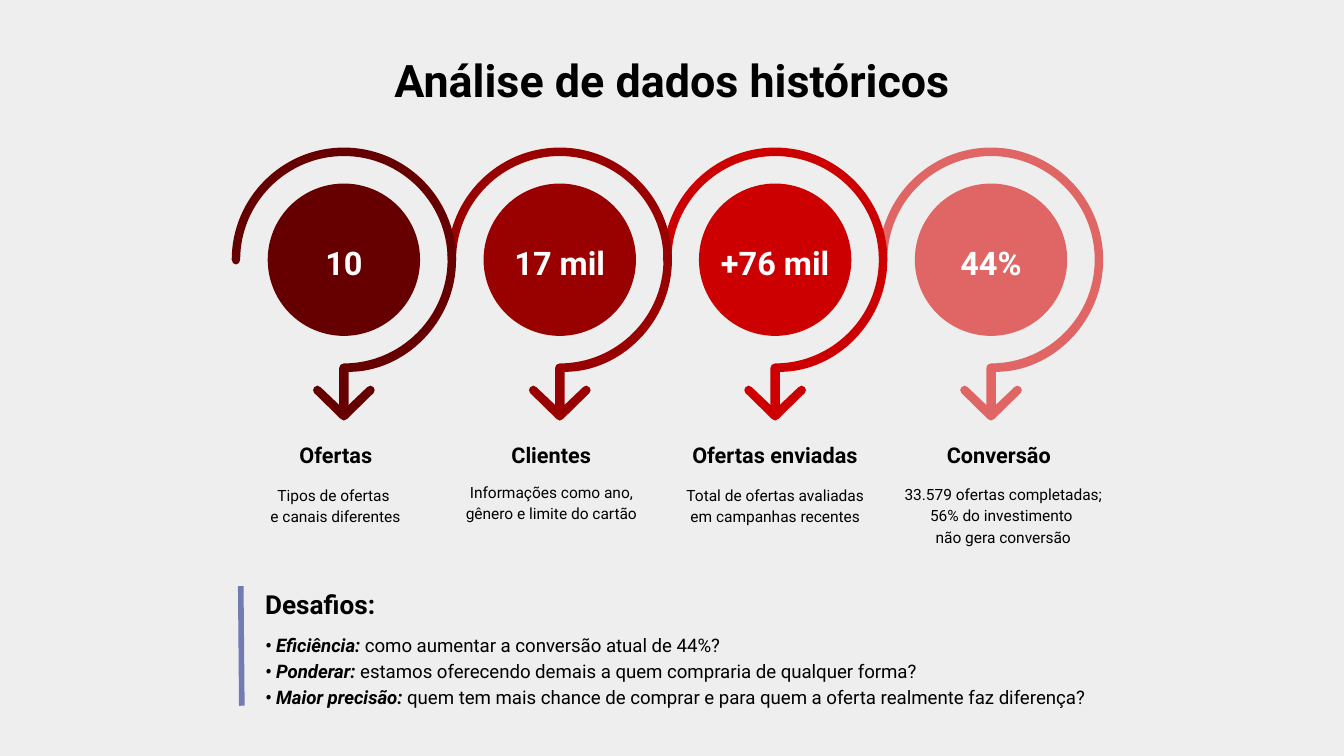
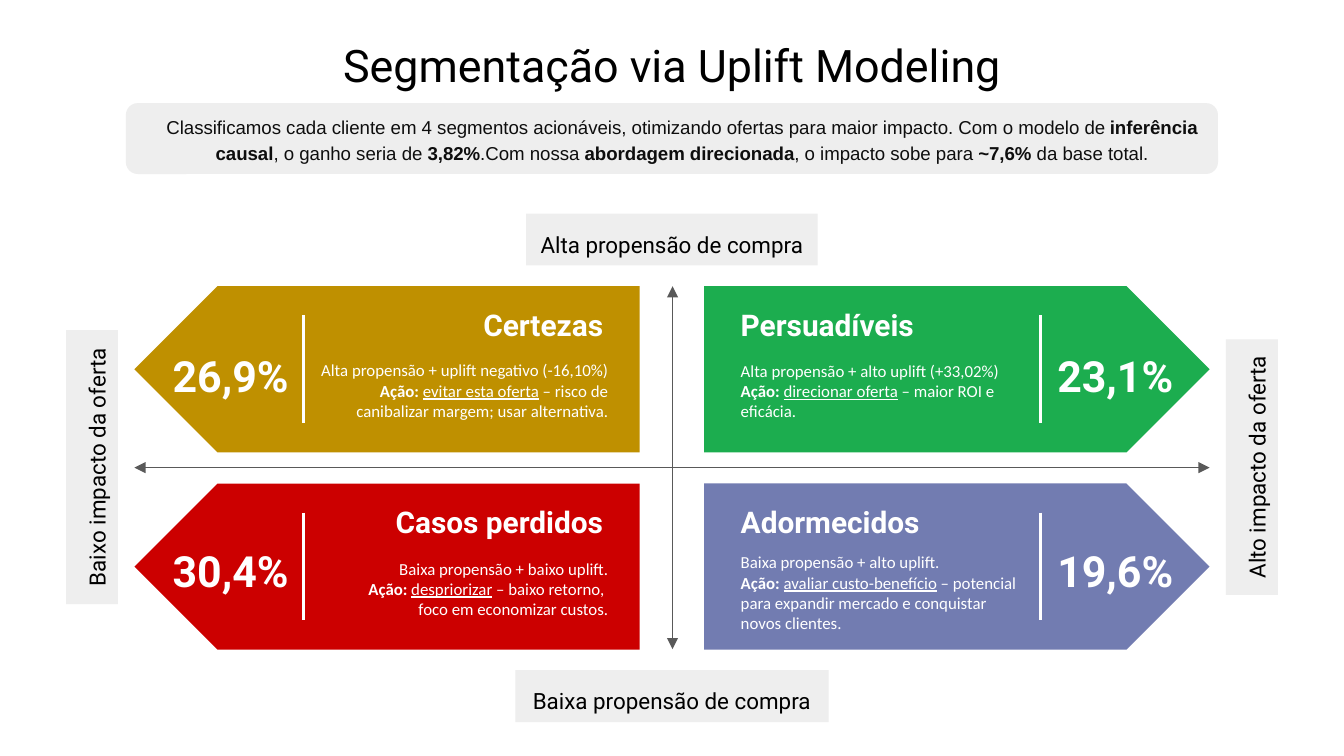
"""Two slides on campaign history and uplift segmentation."""
import math
from dataclasses import dataclass

from lxml import etree
from pptx import Presentation
from pptx.dml.color import RGBColor
from pptx.enum.shapes import MSO_CONNECTOR, MSO_SHAPE
from pptx.enum.text import MSO_ANCHOR, PP_ALIGN
from pptx.oxml.ns import qn
from pptx.util import Cm, Pt

LEFT, CENTER, RIGHT = PP_ALIGN.LEFT, PP_ALIGN.CENTER, PP_ALIGN.RIGHT
TOP, MIDDLE = MSO_ANCHOR.TOP, MSO_ANCHOR.MIDDLE
STRAIGHT = MSO_CONNECTOR.STRAIGHT
OVAL, PLATE = MSO_SHAPE.OVAL, MSO_SHAPE.PENTAGON
RECT, ROUNDED = MSO_SHAPE.RECTANGLE, MSO_SHAPE.ROUNDED_RECTANGLE


@dataclass(frozen=True)
class Theme:
    """Colours, fonts, type sizes and page measures."""
    width: float = 25.4
    height: float = 14.29
    font: str = "Roboto"
    body_font: str = "Calibri"
    intro_font: str = "Arial"
    black: str = "000000"
    ink: str = "0E0E0E"
    white: str = "FFFFFF"
    grey: str = "EEEEEE"
    axis: str = "595959"
    violet: str = "727CB1"
    red: str = "CC0000"
    gold: str = "BF9000"
    green: str = "1CAD4F"
    title: float = 24
    percent: float = 23
    figure: float = 17.4
    segment: float = 16
    section: float = 14
    axis_label: float = 12
    step: float = 11.6
    text: float = 10
    segment_text: float = 9
    caption: float = 8.3


THEME = Theme()

STEPS = [
    dict(x=6.5, colour="660000", figure="10", name="Ofertas", name_x=6.35,
         caption=["Tipos de ofertas ", "e canais diferentes"],
         caption_x=6.34, width=4.04, top=8.88),
    dict(x=10.58, colour="990000", figure="17 mil", name="Clientes", name_x=10.42,
         caption=["Informações como ano, gênero e limite do cartão"],
         caption_x=10.42, width=4.04, top=8.82),
    dict(x=14.65, colour=THEME.red, figure="+76 mil", name="Ofertas enviadas", name_x=14.65,
         caption=["Total de ofertas avaliadas em campanhas recentes"],
         caption_x=14.65, width=4.04, top=8.88),
    dict(x=18.73, colour="E06666", figure="44%", name="Conversão", name_x=18.88,
         caption=["33.579 ofertas completadas; 56% do investimento ", "não gera conversão"],
         caption_x=18.96, width=4.22, top=9.06),
]

CHALLENGES = [
    [("• Eficiência: ", "bi"), ("como aumentar a conversão atual de 44%?", "")],
    [("• Ponderar: ", "bi"),
     ("estamos oferecendo demais a quem compraria de qualquer forma?", "")],
    [("• Maior precisão: ", "bi"),
     ("quem tem mais chance de comprar e para quem a oferta realmente faz diferença?", "")],
]

INTRO = [
    ("Classificamos cada cliente em 4 segmentos acionáveis, otimizando ofertas para maior "
     "impacto. Com o modelo de ", ""),
    ("inferência causal", "b"), (", o ganho seria de ", ""), ("3,82%", "b"),
    (".Com nossa ", ""), ("abordagem direcionada", "b"),
    (", o impacto sobe para ", ""), ("~7,6%", "b"), (" da base total.", ""),
]

SEGMENTS = [
    dict(column=0, row=0, colour=THEME.gold, name="Certezas", share="26,9%", drop=0.96,
         lines=["Alta propensão + uplift negativo (-16,10%)",
                [("Ação: ", "b"), ("evitar esta oferta", "u"),
                 (" – risco de canibalizar margem; usar alternativa.", "")]]),
    dict(column=1, row=0, colour=THEME.green, name="Persuadíveis", share="23,1%", drop=0.97,
         lines=["Alta propensão + alto uplift (+33,02%)",
                [("Ação: ", "b"), ("direcionar oferta", "u"),
                 (" – maior ROI e eficácia.", "")]]),
    dict(column=0, row=1, colour=THEME.red, name="Casos perdidos", share="30,4%", drop=0.98,
         lines=["Baixa propensão + baixo uplift.",
                [("Ação: ", "b"), ("despriorizar", "u"), (" – baixo retorno, ", "")],
                "foco em economizar custos."]),
    dict(column=1, row=1, colour=THEME.violet, name="Adormecidos", share="19,6%", drop=1.05,
         lines=["Baixa propensão + alto uplift.",
                [("Ação: ", "b"), ("avaliar custo-benefício", "u"),
                 (" – potencial para expandir mercado e conquistar novos clientes.", "")]]),
]

AXIS_LABELS = [
    ("Alta propensão de compra", 12.7, 4.53, 5.51, 0),
    ("Baixa propensão de compra", 12.7, 13.16, 5.92, 0),
    ("Alto impacto da oferta", 23.66, 8.83, 4.83, 270),
    ("Baixo impacto da oferta", 1.74, 8.83, 5.18, 270),
]


def colour_of(value):
    """Turn a hex string into a colour."""
    return RGBColor.from_string(value)


def write(shape, paras, size, colour=THEME.black, font=THEME.font, bold=False, align=LEFT,
          anchor=MIDDLE, inset=0.25, spacing=1.0, first_spacing=None, after=0):
    """Fill a shape with paragraphs made of strings or (text, flags) spans."""
    frame = shape.text_frame
    frame.word_wrap = True
    frame.vertical_anchor = anchor
    frame.margin_left = frame.margin_right = Cm(inset)
    frame.margin_top = frame.margin_bottom = Cm(inset)
    for index, spans in enumerate(paras):
        para = frame.paragraphs[0] if index == 0 else frame.add_paragraph()
        para.alignment = align
        para.line_spacing = first_spacing if first_spacing and index == 0 else spacing
        para.space_after = Pt(after)
        if isinstance(spans, str):
            spans = [(spans, "b" if bold else "")]
        for text, flags in spans:
            span = para.add_run()
            span.text = text
            span.font.name = font
            span.font.size = Pt(size)
            span.font.color.rgb = colour_of(colour)
            span.font.bold = "b" in flags
            span.font.italic = "i" in flags
            span.font.underline = "u" in flags


def add_text(page, left, top, width, height, paras, size, **style):
    """Add a text box."""
    box = page.shapes.add_textbox(Cm(left), Cm(top), Cm(width), Cm(height))
    write(box, paras, size, **style)


def paint(shape, colour):
    """Give a shape a plain fill without line or shadow."""
    shape.shadow.inherit = False
    shape.fill.solid()
    shape.fill.fore_color.rgb = colour_of(colour)
    shape.line.fill.background()


def add_block(page, kind, left, top, width, height, colour):
    """Add a plain preset shape."""
    block = page.shapes.add_shape(kind, Cm(left), Cm(top), Cm(width), Cm(height))
    paint(block, colour)
    return block


def add_line(page, start, end, colour, weight, arrows=False):
    """Add a straight line, with arrowheads on both ends if asked."""
    line = page.shapes.add_connector(STRAIGHT, *map(Cm, start + end))
    line.line.color.rgb = colour_of(colour)
    line.line.width = Pt(weight)
    if arrows:
        outline = line.line._get_or_add_ln()
        for tag in ("a:headEnd", "a:tailEnd"):
            etree.SubElement(outline, qn(tag), type="triangle")
    etree.SubElement(line._element.spPr, qn("a:effectLst"))


def quarter(radius, start, turn):
    """Return the three Bézier points of a quarter circle from an angle in degrees."""
    first, last = math.radians(start), math.radians(start + 90 * turn)
    pull = 0.55 * turn

    def point(angle, shift):
        """Shift a point of the circle along its tangent."""
        return (radius * (math.cos(angle) - shift * math.sin(angle)),
                radius * (math.sin(angle) + shift * math.cos(angle)))

    return [point(first, pull), point(last, -pull), point(last, 0)]


def add_outline(page, x, y, points, kinds, colour):
    """Draw a closed outline around a centre, with L for lines and C for curves."""
    corners = [(Cm(x + dx), Cm(y + dy)) for dx, dy in points]
    builder = page.shapes.build_freeform(*corners[0])
    builder.add_line_segments(corners[1:], close=True)
    shape = builder.convert_to_shape()
    segments = iter(list(shape._element.iter(qn("a:lnTo"))))
    for kind in kinds:
        segment = next(segments)
        if kind == "C":
            segment.tag = qn("a:cubicBezTo")
            for _ in range(2):
                extra = next(segments)
                segment.append(extra[0])
                extra.getparent().remove(extra)
    paint(shape, colour)


def add_ring_arrow(page, x, y, colour):
    """Add the three-quarter ring with its stem and arrowhead."""
    outer, inner, half = 2.12, 1.96, 0.09
    ring = [(0, -outer), *quarter(outer, -90, -1),
            (-outer, 0.05), (-2.08, 0.09), (-2.04, 0.09),
            (-2.0, 0.09), (-inner, 0.05), (-inner, 0),
            *quarter(inner, 180, 1), *quarter(inner, 270, 1), *quarter(inner, 0, 1),
            (-0.05, inner), (-half, 2.0), (-half, 2.05),
            (-half, 2.83), (half, 2.83), (half, outer),
            *quarter(outer, 90, -1), *quarter(outer, 0, -1)]
    add_outline(page, x, y, ring, "CCCCCCCLLLCC", colour)
    side = [(0, 2.83), (-0.44, 2.41),
            (-0.46, 2.39), (-0.48, 2.38), (-0.5, 2.38),
            (-0.52, 2.38), (-0.54, 2.39), (-0.56, 2.41),
            (-0.59, 2.44), (-0.59, 2.49), (-0.56, 2.52), (-0.06, 3.01),
            (-0.04, 3.03), (-0.02, 3.04), (0, 3.04)]
    kinds = "LCCCLC"
    head = side + [(-dx, dy) for dx, dy in side[-2::-1]]
    add_outline(page, x, y, head, kinds + kinds[::-1], colour)


def add_step(page, step):
    """Add a disc with its ring arrow, figure, name and caption."""
    x, y, disc, colour = step["x"], 4.91, 1.44, step["colour"]
    add_block(page, OVAL, x - disc, y - disc, 2 * disc, 2 * disc, colour)
    add_ring_arrow(page, x, y, colour)
    add_text(page, x - 1.27, 4.37, 2.54, 1.19, [step["figure"]], THEME.figure,
             colour=THEME.white, bold=True, align=CENTER, inset=0.2)
    add_text(page, step["name_x"] - 2.02, 8.1, 4.04, 0.91, [step["name"]], THEME.step,
             bold=True, align=CENTER, inset=0.2, spacing=1.15)
    width = step["width"]
    add_text(page, step["caption_x"] - width / 2, step["top"], width, 1.32, step["caption"],
             THEME.caption, align=CENTER, inset=0.2, spacing=1.15)


def add_challenges(page):
    """Add the ruled list of challenges."""
    add_text(page, 4.76, 10.97, 8.97, 0.79, ["Desafios:"], THEME.section,
             bold=True, spacing=1.15)
    add_text(page, 4.76, 11.83, 16.1, 1.65, CHALLENGES, THEME.text, spacing=1.15)
    add_line(page, (4.55, 11.08), (4.57, 13.34), THEME.violet, 3)


def add_segment(page, segment):
    """Add one arrow-shaped quadrant with its name, action and share."""
    on_right = segment["column"] == 1
    top = 5.41 + 3.73 * segment["row"]
    align = LEFT if on_right else RIGHT

    def place(left, width):
        """Mirror a left-hand position when the segment is on the right."""
        return THEME.width - left - width if on_right else left

    plate = add_block(page, PLATE, place(2.54, 9.55), top, 9.55, 3.14, segment["colour"])
    plate.rotation = 0 if on_right else 180
    body_left, body_width = (13.75, 5.92) if on_right else (5.54, 6.2)
    add_text(page, body_left, top + segment["drop"], body_width, 1.83, segment["lines"],
             THEME.segment_text, colour=THEME.white, font=THEME.body_font, align=align,
             first_spacing=1.5)
    add_text(page, place(6.49, 5.16), top + 0.34, 5.16, 0.76, [segment["name"]],
             THEME.segment, colour=THEME.white, bold=True, align=align, after=2)
    divider = place(5.74, 0)
    add_line(page, (divider, top + 0.55), (divider, top + 2.58), THEME.white, 1.5)
    add_text(page, 19.66 if on_right else 2.94, 6.58 + 3.69 * segment["row"], 2.77, 0.89,
             [segment["share"]], THEME.percent, colour=THEME.white, bold=True,
             align=RIGHT, spacing=1.15)


def add_axis_label(page, text, x, y, width, rotation):
    """Add a grey label centred on a point at one end of an axis."""
    label = add_block(page, RECT, x - width / 2, y - 0.49, width, 0.98, THEME.grey)
    label.rotation = rotation
    write(label, [text], THEME.axis_label, align=CENTER, anchor=TOP, spacing=1.15, after=16)


def add_intro(page):
    """Add the rounded summary band."""
    band = add_block(page, ROUNDED, 2.38, 1.95, 20.64, 1.34, THEME.grey)
    write(band, [INTRO], THEME.text, colour=THEME.ink, font=THEME.intro_font,
          align=CENTER, spacing=1.15)
    band.text_frame.paragraphs[0]._p.get_or_add_pPr().set("marL", str(Cm(0.38)))


def add_page(deck, background, title, title_top, **style):
    """Add a blank page with a background and a centred title."""
    page = deck.slides.add_slide(deck.slide_layouts[6])
    page.background.fill.solid()
    page.background.fill.fore_color.rgb = colour_of(background)
    add_text(page, 1.27, title_top, 22.86, 1.35, [title], THEME.title, align=CENTER, **style)
    return page


def main():
    """Build and save the deck."""
    deck = Presentation()
    deck.slide_width, deck.slide_height = Cm(THEME.width), Cm(THEME.height)

    history = add_page(deck, THEME.grey, "Análise de dados históricos", 0.76,
                       bold=True, spacing=1.15)
    for step in reversed(STEPS):
        add_step(history, step)
    add_challenges(history)

    uplift = add_page(deck, THEME.white, "Segmentação via Uplift Modeling", 0.54)
    for segment in SEGMENTS:
        add_segment(uplift, segment)
    add_line(uplift, (2.54, 8.84), (22.86, 8.84), THEME.axis, 0.75, arrows=True)
    add_line(uplift, (12.71, 12.27), (12.71, 5.41), THEME.axis, 0.75, arrows=True)
    for label in AXIS_LABELS:
        add_axis_label(uplift, *label)
    add_intro(uplift)

    deck.save("out.pptx")


if __name__ == "__main__":
    main()
